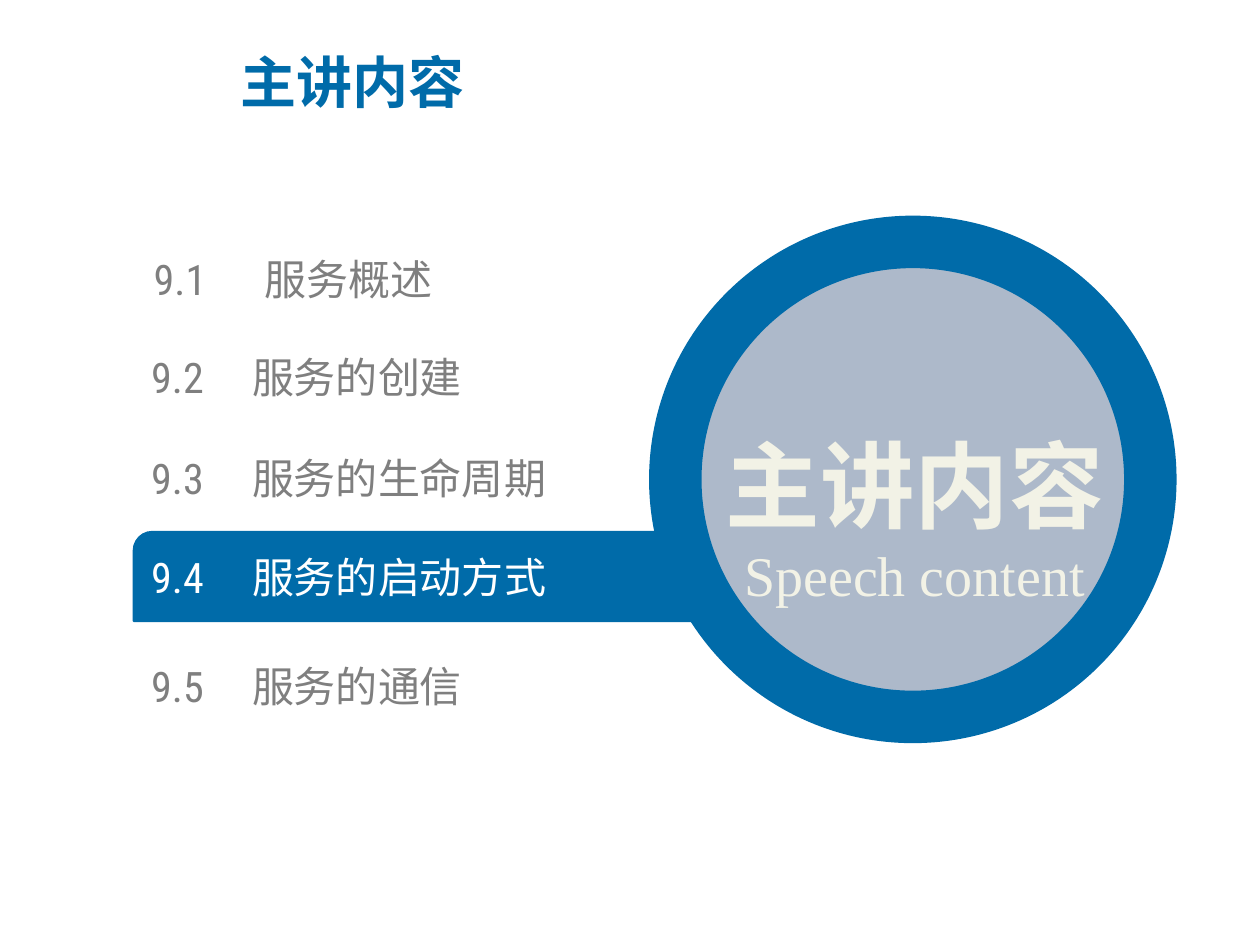
from lxml import etree
from pptx import Presentation
from pptx.dml.color import RGBColor
from pptx.enum.shapes import MSO_SHAPE
from pptx.enum.text import MSO_ANCHOR, MSO_AUTO_SIZE, PP_ALIGN
from pptx.oxml.ns import qn
from pptx.util import Inches, Pt

ROUND_DIAGONAL = MSO_SHAPE.ROUND_2_DIAG_RECTANGLE
OVAL = MSO_SHAPE.OVAL
MIDDLE = MSO_ANCHOR.MIDDLE
FIT_SHAPE = MSO_AUTO_SIZE.SHAPE_TO_FIT_TEXT
NO_FIT = MSO_AUTO_SIZE.NONE
LEFT = PP_ALIGN.LEFT
CENTER = PP_ALIGN.CENTER

BLUE, GRAY, WHITE, CREAM, PALE = "006BA9", "7F7F7F", "FFFFFF", "F2F2E6", "ADB9CA"
CHINESE_FONT = "Noto Sans CJK SC"


def color(value):
    return RGBColor.from_string(value)


def format_runs(paragraph, size, font_name, font_color, bold=False):
    for run in paragraph.runs:
        run.font.size = Pt(size)
        run.font.name = font_name
        run.font.bold = bold
        run.font.color.rgb = color(font_color)
        east_asian = etree.SubElement(run.font._element, qn("a:ea"))
        east_asian.set("typeface", CHINESE_FONT)


presentation = Presentation()
presentation.slide_width = Inches(10)
presentation.slide_height = Inches(7.5)
slide = presentation.slides.add_slide(presentation.slide_layouts[5])

title = slide.shapes.title
title.left, title.top = Inches(1.81), Inches(0.22)
title.width, title.height = Inches(5.63), Inches(0.84)
title.text_frame.text = "主讲内容"
title.text_frame.auto_size = NO_FIT
title.text_frame.vertical_anchor = MIDDLE
title.text_frame.paragraphs[0].alignment = LEFT
format_runs(title.text_frame.paragraphs[0], 32, CHINESE_FONT, BLUE, True)

highlight = slide.shapes.add_shape(
    ROUND_DIAGONAL, Inches(1.06), Inches(4.22), Inches(5.99), Inches(0.71))
highlight.adjustments[0] = 0.21
highlight.adjustments[1] = 0
circle = slide.shapes.add_shape(
    OVAL, Inches(5.36), Inches(1.92), Inches(3.77), Inches(3.77))
for shape, fill, line_width in [(highlight, BLUE, 1), (circle, PALE, 30)]:
    shape.shadow.inherit = False
    shape.fill.solid()
    shape.fill.fore_color.rgb = color(fill)
    shape.line.color.rgb = color(BLUE)
    shape.line.width = Pt(line_width)

sections = [
    ("9.1", "服务概述", 1.22, 2.01, 0.88, GRAY),
    ("9.2", "服务的创建", 1.2, 2.79, 0.8, GRAY),
    ("9.3", "服务的生命周期", 1.2, 3.59, 0.8, GRAY),
    ("9.4", "服务的启动方式", 1.2, 4.38, 0.8, WHITE),
    ("9.5", "服务的通信", 1.2, 5.24, 0.8, GRAY),
]
for number, name, left, top, tab, text_color in sections:
    section = slide.shapes.add_textbox(
        Inches(left), Inches(top), Inches(4.19), Inches(0.4))
    frame = section.text_frame
    frame.text = f"{number}\t{name}"
    frame.word_wrap = True
    frame.auto_size = FIT_SHAPE
    frame.vertical_anchor = MIDDLE
    frame.margin_left = frame.margin_right = Inches(0)
    frame.margin_top = frame.margin_bottom = Inches(0)
    paragraph = frame.paragraphs[0]
    tab_list = etree.SubElement(paragraph._p.get_or_add_pPr(), qn("a:tabLst"))
    etree.SubElement(tab_list, qn("a:tab"), pos=str(Inches(tab)), algn="l")
    format_runs(paragraph, 24, "Roboto Condensed", text_color)

caption = slide.shapes.add_textbox(
    Inches(5.31), Inches(2.88), Inches(3.9), Inches(2))
frame = caption.text_frame
frame.text = "主讲内容\nSpeech content"
frame.word_wrap = True
frame.auto_size = FIT_SHAPE
frame.vertical_anchor = MIDDLE
heading, subtitle = frame.paragraphs
heading.alignment = subtitle.alignment = CENTER
heading.line_spacing = 1.5
format_runs(heading, 54, CHINESE_FONT, CREAM, True)
format_runs(subtitle, 32, "Times New Roman", CREAM)

presentation.save("out.pptx")
